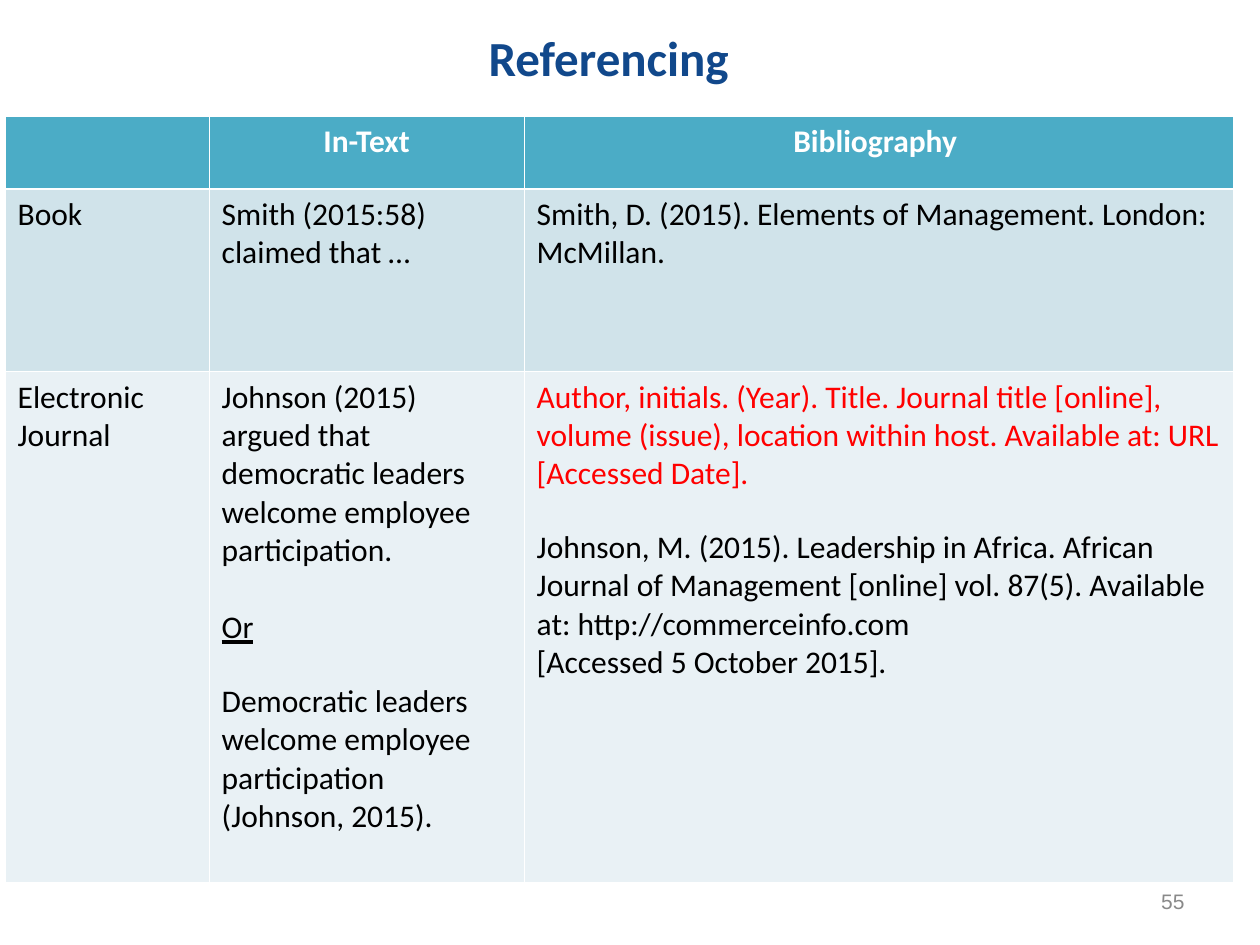
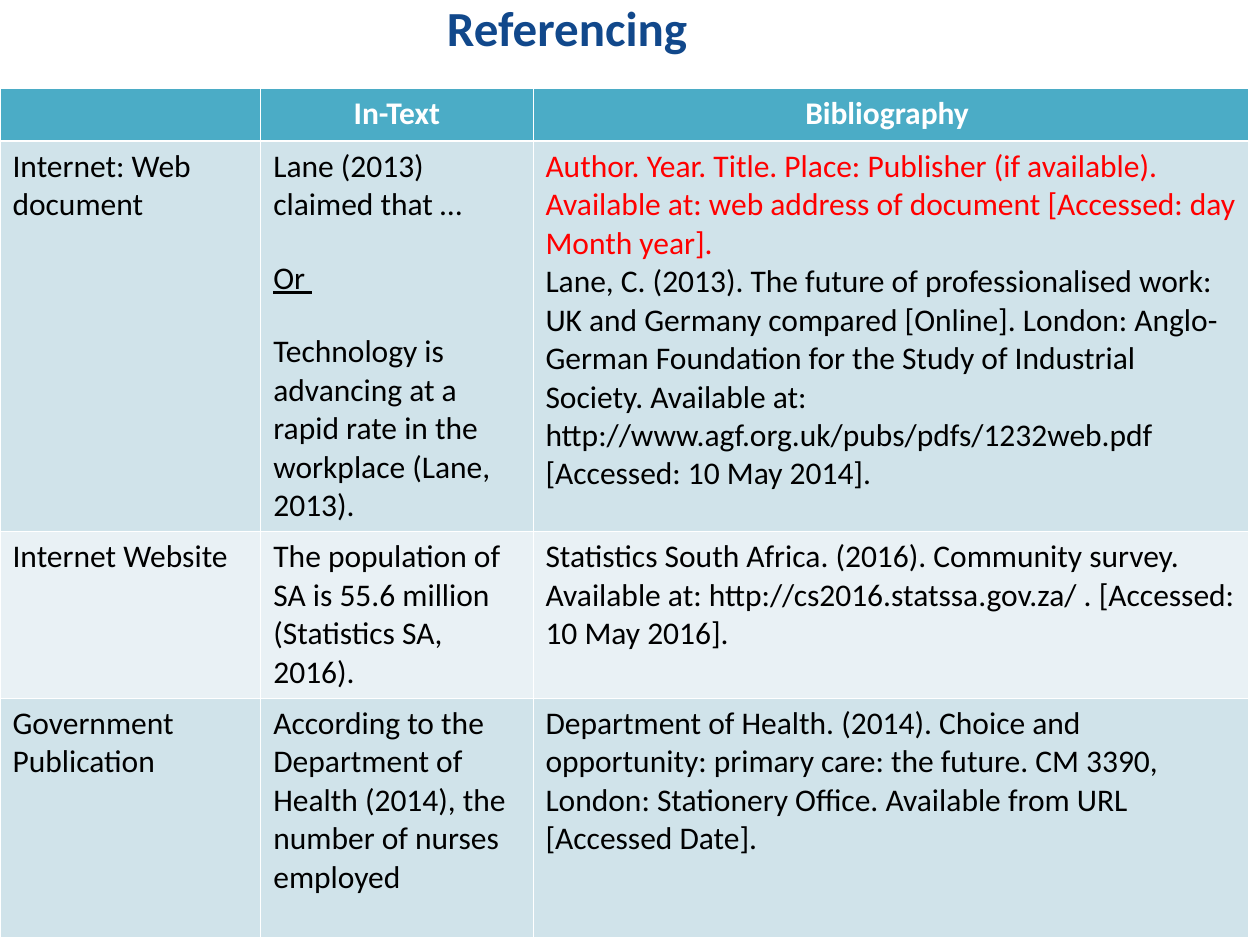
from lxml import etree
from pptx import Presentation
from pptx import util as u
from pptx.dml.color import RGBColor
from pptx.enum import text
from pptx.oxml import ns

COLOURS = {"title": "11488B", "header": "4BACC6", "dark_band": "D0E3EA",
           "light_band": "E9F1F5", "pattern": "FF0000", "body": "000000",
           "white": "FFFFFF", "number": "898989"}
FONT = "Calibri"
BODY_SIZE = 18
GAP = 20
THIN, THICK = 0.45, 1.47
HEADINGS = ["", "In-Text", "Bibliography "]

SLIDES = [
    {"title_box": (0.33, -0.17, 9, 1.25),
     "corner": (0.04, 0.92),
     "columns": [1.62, 2.5, 5.63],
     "rows": [0.58, 1.45, 4.05],
     "number": "55",
     "entries": [
         ["Book",
          "Smith (2015:58) claimed that …",
          "Smith, D. (2015). Elements of Management. London: McMillan."],
         ["Electronic Journal",
          [("Johnson (2015) argued that democratic leaders welcome employee "
            "participation.", {}),
           ("Or", {"underline": True, "gap": GAP + 2}),
           ("Democratic leaders welcome employee participation (Johnson, 2015).",
            {"gap": GAP})],
          [("Author, initials. (Year). Title. Journal title [online], volume (issue), "
            "location within host. Available at: URL [Accessed Date].",
            {"colour": "pattern"}),
           ("Johnson, M. (2015). Leadership in Africa. African Journal of Management "
            "[online] vol. 87(5). Available at: http://commerceinfo.com", {"gap": GAP}),
           ("[Accessed 5 October 2015].", {})]],
     ]},
    {"title_box": (0, -0.33, 9, 1.08),
     "corner": (0, 0.7),
     "columns": [2.07, 2.16, 5.68],
     "rows": [0.42, 3.1, 1.3, 1.9],
     "number": None,
     "entries": [
         ["Internet: Web document",
          [("Lane (2013) claimed that …", {}),
           ("Or ", {"underline": True, "gap": GAP}),
           ("Technology is advancing at a rapid rate in the workplace (Lane, 2013).",
            {"gap": GAP})],
          [("Author. Year. Title. Place: Publisher (if available). Available at: web "
            "address of document [Accessed: day Month year].", {"colour": "pattern"}),
           ("Lane, C. (2013). The future of professionalised work: UK and Germany "
            "compared [Online]. London: Anglo-German Foundation for the Study of "
            "Industrial Society. Available at: "
            "http://www.agf.org.uk/pubs/pdfs/1232web.pdf [Accessed: 10 May 2014].", {})]],
         ["Internet Website",
          "The population of SA is 55.6 million (Statistics SA, 2016).",
          "Statistics South Africa. (2016). Community survey. Available at: "
          "http://cs2016.statssa.gov.za/ . [Accessed: 10 May 2016]."],
         ["Government Publication",
          "According to the Department of Health (2014), the number of nurses employed",
          "Department of Health. (2014). Choice and\n"
          "opportunity: primary care: the future. CM 3390,\n"
          "London: Stationery Office. Available from URL [Accessed Date]."],
     ]},
]


def write(paragraph, words, size=BODY_SIZE, colour="body", bold=False,
          underline=False, gap=0, font=FONT, align=text.PP_ALIGN.LEFT):
    paragraph.alignment = align
    if gap:
        paragraph.space_before = u.Pt(gap)
    for index, line in enumerate(words.split("\n")):
        if index:
            paragraph.add_line_break()
        run = paragraph.add_run()
        run.text = line
        run.font.name = font
        run.font.size = u.Pt(size)
        run.font.bold = bold
        run.font.underline = underline
        run.font.color.rgb = RGBColor.from_string(COLOURS[colour])


def add_borders(cell, top, bottom):
    properties = cell._tc.get_or_add_tcPr()
    widths = {"lnL": THIN, "lnR": THIN, "lnT": top, "lnB": bottom}
    for index, (side, width) in enumerate(widths.items()):
        line = etree.Element(ns.qn(f"a:{side}"), w=str(u.Pt(width)))
        fill = etree.SubElement(line, ns.qn("a:solidFill"))
        etree.SubElement(fill, ns.qn("a:srgbClr"), val=COLOURS["white"])
        properties.insert(index, line)


presentation = Presentation()
presentation.slide_width = u.Inches(10)
presentation.slide_height = u.Inches(7.5)

for content in SLIDES:
    slide = presentation.slides.add_slide(presentation.slide_layouts[5])
    title = slide.shapes.title
    title.left, title.top, title.width, title.height = map(u.Inches, content["title_box"])
    title.text_frame.vertical_anchor = text.MSO_ANCHOR.MIDDLE
    write(title.text_frame.paragraphs[0], "Referencing", size=28, colour="title",
          bold=True, align=text.PP_ALIGN.CENTER)

    if content["number"]:
        number = slide.shapes.add_textbox(*map(u.Inches, (7.17, 6.95, 2.33, 0.4)))
        number.text_frame.word_wrap = True
        number.text_frame.vertical_anchor = text.MSO_ANCHOR.MIDDLE
        write(number.text_frame.paragraphs[0], content["number"], size=12,
              colour="number", font="Arial", align=text.PP_ALIGN.RIGHT)

    columns, rows = content["columns"], content["rows"]
    extent = (*content["corner"], sum(columns), sum(rows))
    table = slide.shapes.add_table(len(rows), len(columns), *map(u.Inches, extent)).table
    table.horz_banding = False
    for column, width in zip(table.columns, columns):
        column.width = u.Inches(width)
    for row, height in zip(table.rows, rows):
        row.height = u.Inches(height)

    for row_index, entry in enumerate([HEADINGS] + content["entries"]):
        is_header = row_index == 0
        band = "header" if is_header else "dark_band" if row_index % 2 else "light_band"
        for column_index, value in enumerate(entry):
            cell = table.cell(row_index, column_index)
            cell.fill.solid()
            cell.fill.fore_color.rgb = RGBColor.from_string(COLOURS[band])
            add_borders(cell, top=THICK if row_index == 1 else THIN,
                        bottom=THICK if is_header else THIN)
            if is_header:
                value = [(value, {"colour": "white", "bold": True,
                                  "align": text.PP_ALIGN.CENTER})] if value else []
            elif isinstance(value, str):
                value = [(value, {})]
            frame = cell.text_frame
            for index, (words, style) in enumerate(value):
                paragraph = frame.add_paragraph() if index else frame.paragraphs[0]
                write(paragraph, words, **style)

presentation.save("out.pptx")
